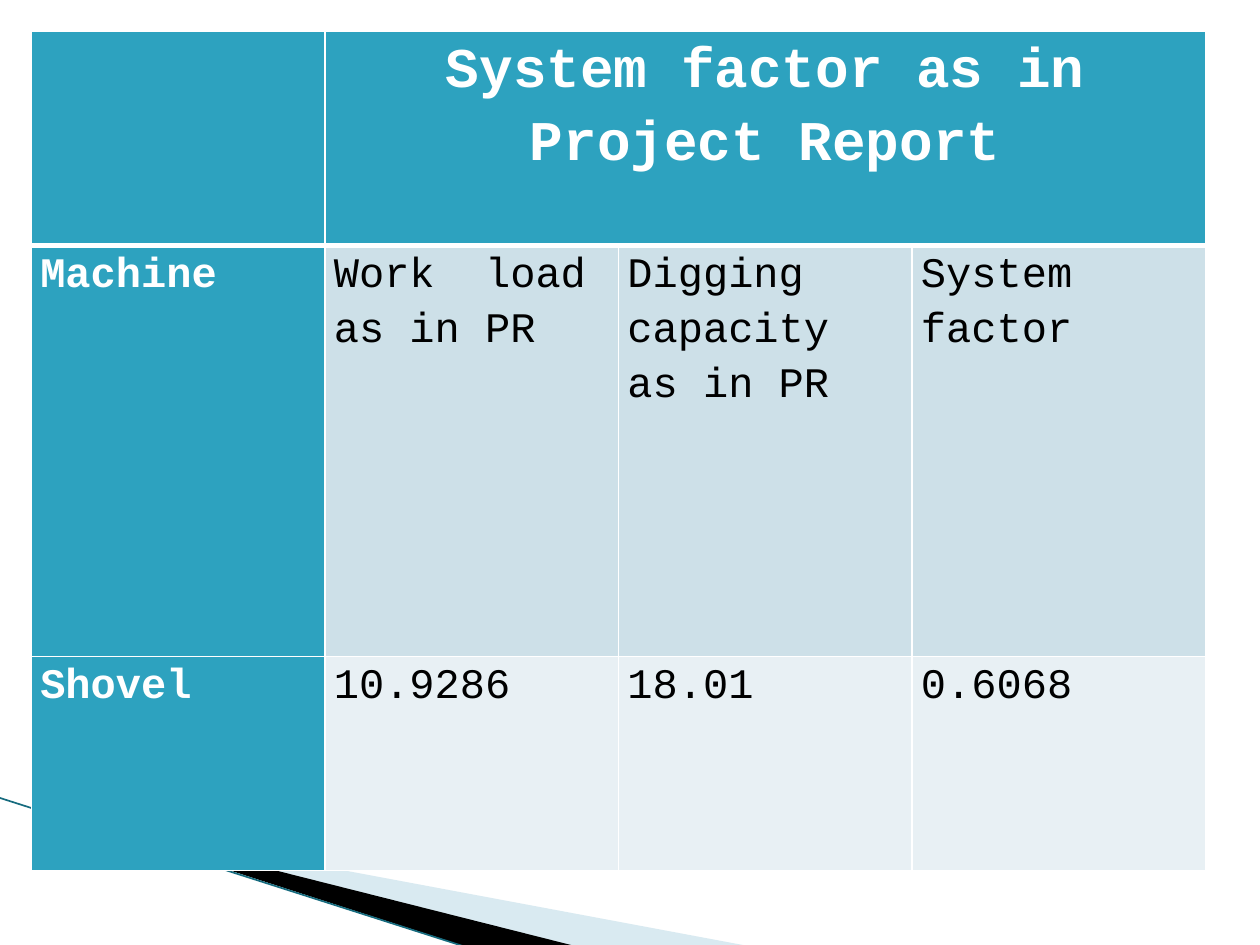
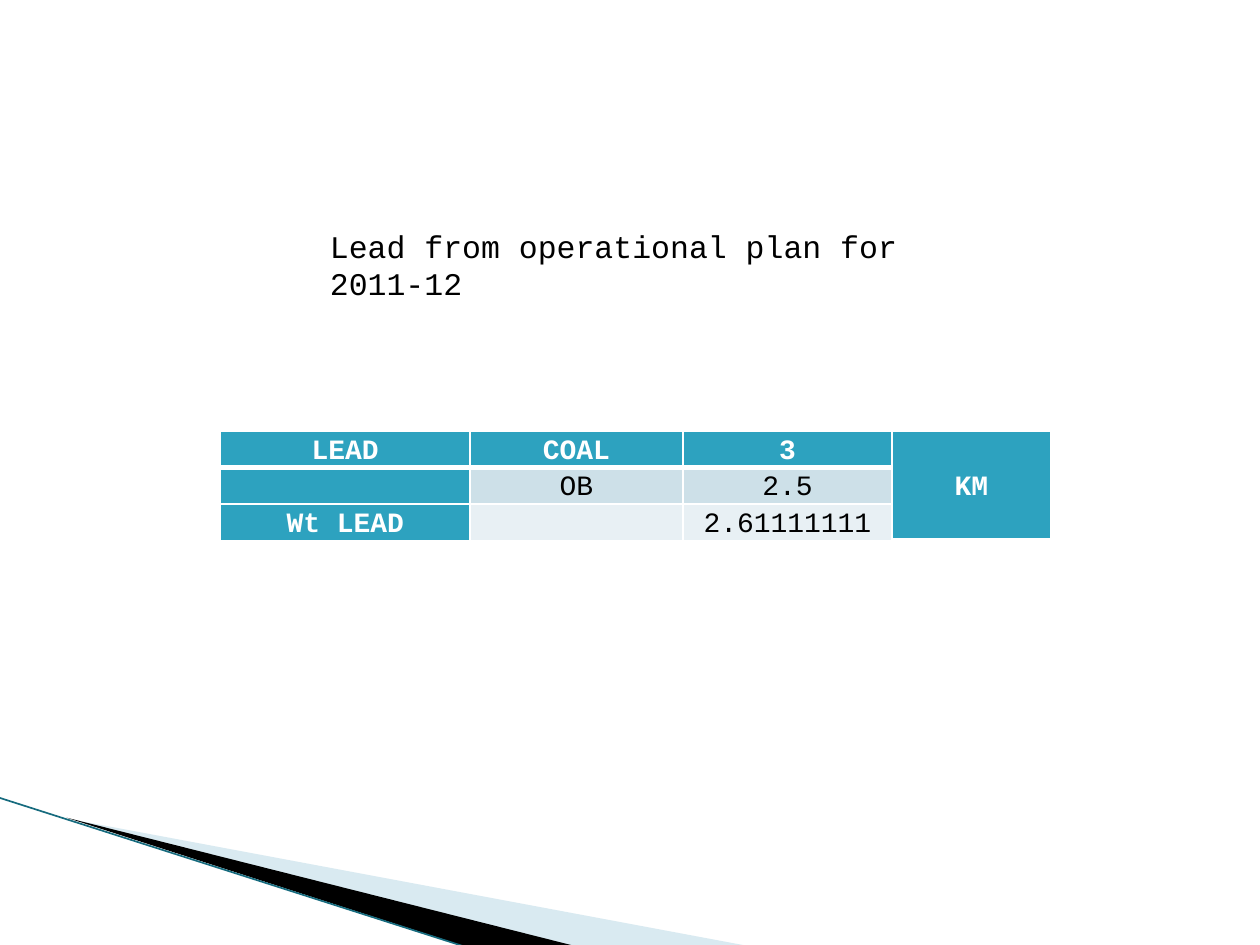
from dataclasses import dataclass

from lxml.etree import SubElement
from pptx import Presentation
from pptx.dml.color import RGBColor
from pptx.enum.shapes import MSO_CONNECTOR
from pptx.enum.text import MSO_ANCHOR, PP_ALIGN
from pptx.oxml.ns import qn
from pptx.util import Inches, Pt


@dataclass(frozen=True)
class Theme:
    font: str = "Courier New"
    white: RGBColor = RGBColor(0xFF, 0xFF, 0xFF)
    black: RGBColor = RGBColor(0x00, 0x00, 0x00)
    accent: RGBColor = RGBColor(0x2D, 0xA2, 0xBF)
    bands: tuple = (RGBColor(0xCD, 0xE0, 0xE8), RGBColor(0xE8, 0xF0, 0xF4))
    swoosh: RGBColor = RGBColor(0xA0, 0xCB, 0xDC)
    edge: RGBColor = RGBColor(0x16, 0x6B, 0x7E)
    heading_size: int = 32
    cell_size: int = 24
    caption_size: int = 18
    small_size: int = 16
    line_spacing: float = 1.15
    border: float = 1
    header_border: float = 3


THEME = Theme()


def style_paragraph(paragraph, size, color, bold=False, align=PP_ALIGN.LEFT):
    paragraph.alignment = align
    font = paragraph.font
    font.name, font.size, font.bold = THEME.font, Pt(size), bold
    font.color.rgb = color


def add_triangle(slide, points, color, opacity=None):
    corners = [(Inches(x), Inches(y)) for x, y in points]
    builder = slide.shapes.build_freeform(*corners[0], scale=1.0)
    builder.add_line_segments(corners[1:], close=True)
    triangle = builder.convert_to_shape()
    triangle.shadow.inherit = False
    triangle.fill.solid()
    triangle.fill.fore_color.rgb = color
    triangle.line.fill.background()
    if opacity is not None:
        color_element = next(triangle.element.iter(qn("a:srgbClr")))
        SubElement(color_element, qn("a:alpha"), val=str(opacity * 1000))
    return triangle


def add_edge_line(slide, start, end):
    line = slide.shapes.add_connector(
        MSO_CONNECTOR.STRAIGHT, *(Inches(value) for value in start + end))
    line.line.color.rgb = THEME.edge
    line.line.width = Pt(0.95)
    SubElement(line.element.find(qn("p:spPr")), qn("a:effectLst"))
    return line


def add_corner_band(slide):
    """Draw the corner band and move it to the layout, so every slide shows it."""
    parts = (
        add_triangle(slide, [(0.55, 6.5), (5.95, 7.51), (4.56, 7.51)],
                     THEME.swoosh, opacity=40),
        add_triangle(slide, [(0.53, 6.49), (4.57, 7.51), (3.72, 7.52)], THEME.black),
        add_edge_line(slide, (-0.01, 6.33), (3.71, 7.52)),
    )
    for part in parts:
        slide.slide_layout.shapes.element.append(part.element)


def add_borders(frame):
    """Give all cells white borders, with a thicker one below the header row."""
    for row_index, row in enumerate(frame.element.iter(qn("a:tr"))):
        bottom = THEME.border if row_index else THEME.header_border
        widths = {"a:lnL": THEME.border, "a:lnR": THEME.border}
        if row_index == 0:
            widths["a:lnT"] = THEME.border
        widths["a:lnB"] = bottom
        for properties in row.iter(qn("a:tcPr")):
            for position, (tag, width) in enumerate(widths.items()):
                line = SubElement(properties, qn(tag), w=str(Pt(width)))
                fill = SubElement(line, qn("a:solidFill"))
                SubElement(fill, qn("a:srgbClr"), val=str(THEME.white))
                properties.insert(position, line)


def add_grid(slide, left, top, widths, heights, rows, size, header_size,
             align=PP_ALIGN.LEFT, anchor=MSO_ANCHOR.TOP):
    """Add a table with an accent header row and first column, and banded rows."""
    frame = slide.shapes.add_table(
        len(heights), len(widths), Inches(left), Inches(top),
        Inches(sum(widths)), Inches(sum(heights)))
    table = frame.table
    table.first_col = True
    for column, width in zip(table.columns, widths):
        column.width = Inches(width)
    for row, height in zip(table.rows, heights):
        row.height = Inches(height)
    for row_index, texts in enumerate(rows):
        for column_index, text in enumerate(texts):
            is_header = row_index == 0
            is_accent = is_header or column_index == 0
            cell = table.cell(row_index, column_index)
            cell.margin_left = cell.margin_right = Inches(0.07)
            cell.margin_top = cell.margin_bottom = 0
            cell.vertical_anchor = anchor
            cell.fill.solid()
            cell.fill.fore_color.rgb = (
                THEME.accent if is_accent else THEME.bands[(row_index - 1) % 2])
            paragraph = cell.text_frame.paragraphs[0]
            if text:
                paragraph.text = text
            paragraph.line_spacing = THEME.line_spacing
            style_paragraph(
                paragraph, header_size if is_header else size,
                THEME.white if is_accent else THEME.black, is_accent,
                PP_ALIGN.CENTER if is_header else align)
    add_borders(frame)
    return table


def add_caption(slide, text, left, top, width, height):
    box = slide.shapes.add_textbox(*map(Inches, (left, top, width, height)))
    box.text_frame.word_wrap = True
    paragraph = box.text_frame.paragraphs[0]
    paragraph.text = text
    style_paragraph(paragraph, THEME.caption_size, THEME.black)


def fill_system_factor_slide(slide):
    rows = [
        ["", "System factor as in Project Report", "", ""],
        ["Machine", "Work  load as in PR", "Digging capacity as in PR", "System factor"],
        ["Shovel", "10.9286", "18.01", "0.6068"],
    ]
    table = add_grid(slide, 0.25, 0.25, [2.33] * 4, [1.7, 3.26, 1.7], rows,
                     THEME.cell_size, THEME.heading_size)
    table.cell(0, 1).merge(table.cell(0, 3))


def fill_lead_slide(slide):
    rows = [
        ["LEAD", "COAL", "3", "KM"],
        ["", "OB", "2.5", ""],
        ["Wt LEAD", "", "2.61111111", ""],
    ]
    table = add_grid(slide, 1.75, 3.42, [1.98, 1.69, 1.66, 1.26], [0.29] * 3, rows,
                     THEME.small_size, THEME.small_size,
                     PP_ALIGN.CENTER, MSO_ANCHOR.MIDDLE)
    table.cell(0, 3).merge(table.cell(2, 3))
    add_caption(slide, "Lead from operational plan for 2011-12", 2.52, 1.75, 4.96, 0.4)


def main():
    presentation = Presentation()
    presentation.slide_width, presentation.slide_height = Inches(10), Inches(7.5)
    blank_layout = presentation.slide_layouts[6]
    system_factor_slide, lead_slide = (
        presentation.slides.add_slide(blank_layout) for _ in range(2))
    add_corner_band(system_factor_slide)
    fill_system_factor_slide(system_factor_slide)
    fill_lead_slide(lead_slide)
    presentation.save("out.pptx")


if __name__ == "__main__":
    main()
